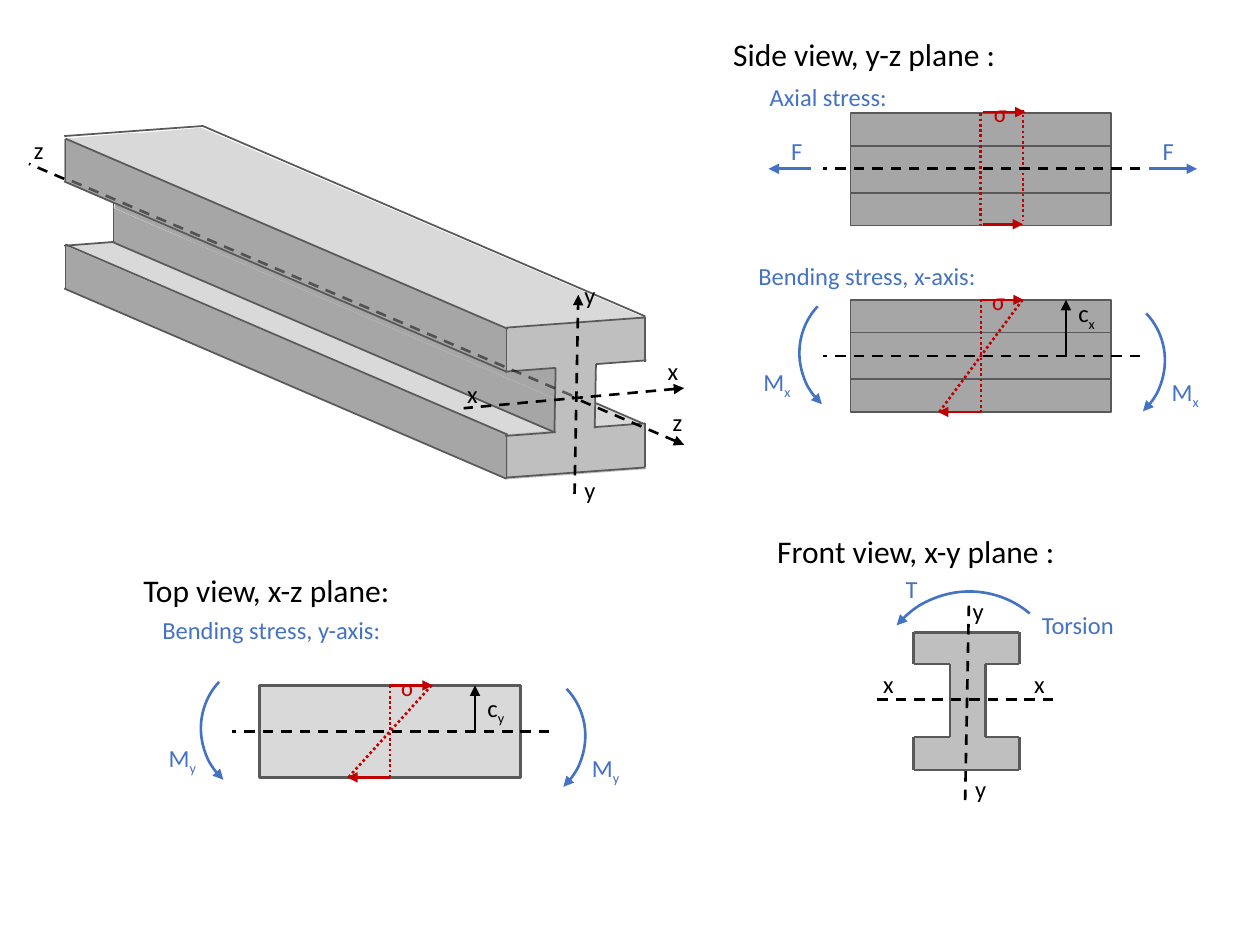
from itertools import pairwise
from typing import NamedTuple

from lxml.etree import SubElement
from pptx import Presentation
from pptx.dml.color import RGBColor
from pptx.enum.dml import MSO_LINE
from pptx.enum.shapes import MSO_CONNECTOR, MSO_SHAPE
from pptx.enum.text import MSO_AUTO_SIZE
from pptx.oxml.ns import qn
from pptx.util import Inches, Pt

COLUMNS, ROWS = 10, 7.5  # grid of one-inch cells; all lengths are in cells
FONT = "Calibri"
COLORS = {
    "black": "000000", "edge": "595959", "side": "A6A6A6", "front": "BFBFBF",
    "top": "D9D9D9", "load": "4472C4", "stress": "C00000",
}
DASH, DOT = MSO_LINE.DASH, MSO_LINE.ROUND_DOT
BEAM_LENGTH = 2.07
FLANGE, WEB = 0.26, 0.37


class Face(NamedTuple):
    left: float
    top: float
    width: float
    height: float
    rotation: float
    flip: str
    slant: float
    fill: str


class Label(NamedTuple):
    left: float
    top: float
    text: str
    subscript: str = ""
    width: float = 0.35
    height: float = 0.34
    size: int = 14
    color: str = "black"


def cells(*values: float) -> list:
    return [Inches(value) for value in values]


def rgb(name: str) -> RGBColor:
    return RGBColor.from_string(COLORS[name])


def style_line(line, color: str, width: float, dash=None, arrow: str = "") -> None:
    """Format a line; arrow is "head" (start), "tail" (end) or empty."""
    line.color.rgb = rgb(color)
    line.width = Pt(width)
    if dash:
        line.dash_style = dash
    if arrow:
        SubElement(line._get_or_add_ln(), qn(f"a:{arrow}End"), type="triangle")


def add_line(shapes, start, end, color="black", width=1.5, dash=None, arrow=""):
    line = shapes.add_connector(MSO_CONNECTOR.STRAIGHT, *cells(*start, *end))
    style_line(line.line, color, width, dash, arrow)
    SubElement(line.element.spPr, qn("a:effectLst"))
    return line


def add_shape(shapes, kind, box, fill="", edge_width=0.0, rotation=0.0, flip=""):
    shape = shapes.add_shape(kind, *cells(*box))
    shape.shadow.inherit = False
    shape.rotation = rotation
    for axis in flip:
        shape.element.spPr.xfrm.set(f"flip{axis}", "1")
    if fill:
        shape.fill.solid()
        shape.fill.fore_color.rgb = rgb(fill)
    else:
        shape.fill.background()
    if edge_width:
        style_line(shape.line, "edge", edge_width)
    else:
        shape.line.fill.background()
    return shape


def add_label(shapes, label: Label) -> None:
    box = shapes.add_textbox(*cells(label.left, label.top, label.width, label.height))
    frame = box.text_frame
    frame.word_wrap = True
    frame.auto_size = MSO_AUTO_SIZE.SHAPE_TO_FIT_TEXT
    para = frame.paragraphs[0]
    para.font.name, para.font.size = FONT, Pt(label.size)
    para.font.color.rgb = rgb(label.color)
    for text, lowered in ((label.text, False), (label.subscript, True)):
        if text:
            span = para.add_run()
            span.text = text
            if lowered:
                span.font._element.set("baseline", "-25000")


def add_load_arc(shapes, box, rotation: float, flip: str = "") -> None:
    arc = add_shape(shapes, MSO_SHAPE.ARC, box, rotation=rotation, flip=flip)
    style_line(arc.line, "load", 1.5, arrow="tail")


def add_side_beam(shapes, left: float, top: float) -> None:
    for height in (FLANGE, WEB, FLANGE):
        add_shape(shapes, MSO_SHAPE.RECTANGLE, (left, top, BEAM_LENGTH, height), "side", 1)
        top += height


def add_sigma(shapes, center: float, top: float) -> None:
    add_line(shapes, (center, top), (center + 0.34, top), "stress", arrow="tail")
    add_label(shapes, Label(center - 0.01, top - 0.38, "", "σ", height=0.37, size=24,
                            color="stress"))


def add_bending(shapes, left, top, height, axis, moment_columns, depth_label_top) -> None:
    """Neutral axis, stress triangle, depth arrow and moment pair of a bent beam."""
    middle, bottom, center = top + height / 2, top + height, left + BEAM_LENGTH / 2
    add_line(shapes, (left + 2.3, middle), (left - 0.22, middle), dash=DASH)
    depth = left + 1.71
    add_line(shapes, (depth, middle), (depth, top), arrow="tail")
    add_label(shapes, Label(depth, depth_label_top, "c", axis))
    label_left, arc_left, arc_right, label_right = moment_columns
    add_load_arc(shapes, (arc_left, middle - 0.57, 1.09, 1.11), 313, "H")
    add_load_arc(shapes, (arc_right, middle - 0.51, 1.09, 1.11), 46.4)
    for column, drop in ((label_left, 0.04), (label_right, 0.12)):
        add_label(shapes, Label(column, middle + drop, "M", axis, 0.43, color="load"))
    add_sigma(shapes, center, top)
    add_line(shapes, (center, bottom), (center - 0.34, bottom), "stress", arrow="tail")
    add_line(shapes, (center, top), (center, bottom), "stress", dash=DOT)
    add_line(shapes, (center + 0.33, top), (center - 0.33, bottom), "stress", dash=DOT)


FACES = [
    Face(0.58, 1.78, 3.91, 1.8, 355.1, "V", 1.873, "top"),
    Face(1.13, 1.74, 3.91, 1.8, 355.1, "V", 1.873, "top"),
    Face(4.38, 3.14, 0.38, 0.59, 354.3, "HV", 0.151, "front"),
    Face(4.1, 3.33, 0.4, 0.55, 270, "V", 0.102, "front"),
    Face(4.65, 3.29, 0.4, 0.55, 270, "V", 0.102, "front"),
    Face(1.76, 0.79, 1.79, 3.51, 270, "HV", 0.848, "side"),
    Face(1.35, 1.12, 1.85, 3.51, 270, "HV", 0.813, "side"),
    Face(1.34, 0.27, 1.85, 3.51, 270, "HV", 0.813, "side"),
    Face(1.77, 0.52, 1.79, 3.51, 270, "HV", 0.848, "side"),
    Face(4.1, 2.47, 0.4, 0.55, 270, "V", 0.102, "front"),
    Face(4.38, 2.56, 0.38, 0.59, 354.3, "HV", 0.151, "front"),
    Face(4.65, 2.43, 0.4, 0.55, 270, "V", 0.102, "front"),
    Face(0.59, 0.93, 3.91, 1.8, 355.1, "V", 1.873, "top"),
    Face(1.13, 0.89, 3.91, 1.8, 355.1, "V", 1.873, "top"),
]
# Parallel edges of the solid beam: one direction, many starting points
EDGES = {
    (3.51, 1.51): [(0.51, 2.29), (0.52, 1.94), (0.51, 1.44), (0.52, 1.1), (1.61, 1), (0.89, 1.92)],
    (0, 0.35): [(0.52, 1.94), (0.52, 1.1), (4.02, 3.45), (4.02, 2.61), (5.12, 3.36), (5.12, 2.52)],
    (-0.01, 0.51): [(4.41, 2.92), (4.73, 2.89)],
    (0, 0.31): [(0.9, 1.61)],
    (-1.1, 0.08): [(5.12, 3.71), (5.12, 2.52), (1.61, 1)],
    (-0.4, 0.03): [(4.41, 2.92), (5.13, 2.86), (4.41, 3.43), (5.12, 3.36), (0.91, 1.92)],
    (-0.37, -0.16): [(5.1, 3.36)],
}
LABELS = [
    *(Label(left, top, title, width=width, height=0.4, size=18) for left, top, width, title in (
        (1.04, 4.48, 2.38, "Top view, x-z plane:"),
        (6.07, 4.17, 2.75, "Front view, x-y plane :"),
        (5.72, 0.23, 2.45, "Side view, y-z plane :"))),
    *(Label(left, top, text, width=width, color="load") for left, top, width, text in (
        (5.92, 2.02, 2.02, "Bending stress, x-axis:"),
        (1.19, 4.83, 1.97, "Bending stress, y-axis:"),
        (8.17, 4.79, 1.93, "Torsion"), (6.01, 0.6, 1.93, "Axial stress:"),
        (7.09, 4.51, 0.43, "T"), (6.18, 1.03, 0.43, "F"), (9.13, 1.03, 0.43, "F"))),
    *(Label(left, top, axis) for left, top, axis in (
        (4.54, 3.72, "y"), (4.54, 2.17, "y"), (5.2, 2.78, "x"), (3.61, 2.96, "x"),
        (5.24, 3.18, "z"), (0.17, 1.02, "z"), (7.64, 6.09, "y"), (7.62, 4.68, "y"),
        (8.11, 5.26, "x"), (6.91, 5.26, "x"))),
]


def draw_solid_beam(shapes) -> None:
    for face in FACES:
        shape = add_shape(shapes, MSO_SHAPE.PARALLELOGRAM, face[:4], face.fill,
                          rotation=face.rotation, flip=face.flip)
        shape.adjustments[0] = face.slant
    for (across, down), starts in EDGES.items():
        for x, y in starts:
            add_line(shapes, (x, y), (x + across, y + down), "edge", 1)
    add_line(shapes, (5.43, 3.08), (3.68, 3.24), dash=DASH, arrow="head")
    add_line(shapes, (4.56, 3.92), (4.59, 2.34), dash=DASH, arrow="tail")
    add_line(shapes, (5.43, 3.53), (4.54, 3.15), dash=DASH, arrow="head")
    add_line(shapes, (0.51, 1.42), (0.23, 1.3), dash=DASH)
    hidden = add_line(shapes, (4.54, 3.14), (0.53, 1.42), dash=DASH)
    color = next(hidden.line._get_or_add_ln().iter(qn("a:srgbClr")))
    SubElement(color, qn("a:alpha"), val="50000")


def draw_axial_view(shapes) -> None:
    add_side_beam(shapes, 6.75, 0.9)
    add_sigma(shapes, 7.8, 0.89)
    add_line(shapes, (7.8, 1.78), (8.12, 1.78), "stress", arrow="tail")
    for x, top in ((7.78, 0.9), (8.12, 0.87)):
        add_line(shapes, (x, top), (x, top + 0.88), "stress", dash=DOT)
    for start, end in ((6.44, 6.1), (9.12, 9.5)):
        add_line(shapes, (start, 1.34), (end, 1.34), "load", arrow="tail")
    add_line(shapes, (9.05, 1.34), (6.53, 1.34), dash=DASH)


def draw_front_view(shapes) -> None:
    left, web_left, web_right, right = 7.25, 7.54, 7.82, 8.09
    top, web_top, web_bottom, bottom = 5.02, 5.27, 5.85, 6.11
    section = shapes.add_group_shape().shapes
    for x, y, end_x, end_y in ((left, web_bottom, right, bottom), (left, top, right, web_top),
                               (web_left, top, web_right, bottom)):
        add_shape(section, MSO_SHAPE.RECTANGLE, (x, y, end_x - x, end_y - y), "front")
    outline = [(left, top), (right, top), (right, web_top), (web_right, web_top),
               (web_right, web_bottom), (right, web_bottom), (right, bottom), (left, bottom),
               (left, web_bottom), (web_left, web_bottom), (web_left, web_top), (left, web_top)]
    for start, end in pairwise(outline + outline[:1]):
        add_line(section, start, end, "edge")
    add_load_arc(shapes, (6.94, 4.69, 1.49, 1.51), 40.3, "H")
    add_line(shapes, (8.36, 5.55), (6.9, 5.55), dash=DASH)
    add_line(shapes, (7.66, 6.35), (7.69, 4.78), dash=DASH)


def main() -> None:
    deck = Presentation()
    deck.slide_width, deck.slide_height = cells(COLUMNS, ROWS)
    shapes = deck.slides.add_slide(deck.slide_layouts[6]).shapes
    draw_solid_beam(shapes)
    add_side_beam(shapes, 6.75, 2.38)
    add_bending(shapes, 6.75, 2.38, 0.89, "x", (5.96, 6.35, 8.15, 9.2), 2.32)
    add_shape(shapes, MSO_SHAPE.RECTANGLE, (2.06, 5.44, BEAM_LENGTH, 0.73), "top", 1.5)
    add_bending(shapes, 2.06, 5.44, 0.73, "y", (1.24, 1.6, 3.55, 4.6), 5.45)
    draw_front_view(shapes)
    draw_axial_view(shapes)
    for label in LABELS:
        add_label(shapes, label)
    deck.save("out.pptx")


if __name__ == "__main__":
    main()
